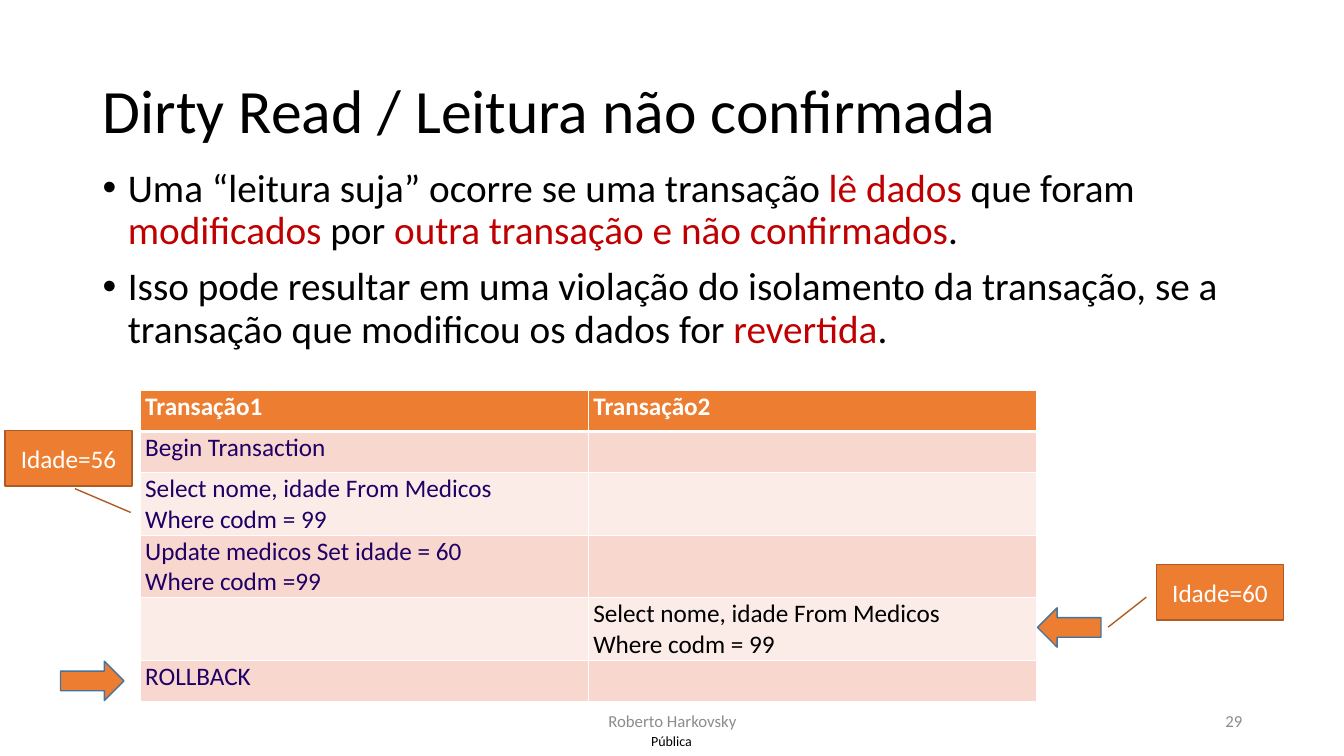
from lxml.etree import SubElement
from pptx import Presentation
from pptx.dml.color import RGBColor
from pptx.enum.shapes import MSO_SHAPE
from pptx.enum.text import MSO_ANCHOR, PP_ALIGN
from pptx.oxml import parse_xml
from pptx.oxml.ns import nsdecls, qn
from pptx.util import Inches, Pt

FONT = "Calibri"
BLACK, WHITE, GREY, RED, INDIGO = "000000", "FFFFFF", "8C8C8C", "C00000", "1F0066"
ORANGE, CALLOUT_EDGE, ARROW_EDGE = "ED7D31", "AF5C24", "43739E"
BANDS = ["F8D7CE", "FCECE8"]

DEFINITION = [
    [("Uma “leitura suja” ocorre se uma transação ", BLACK), ("lê dados ", RED),
     ("que foram ", BLACK), ("modificados", RED), (" por ", BLACK),
     ("outra transação e não confirmados", RED), (".", BLACK)],
    [("Isso pode resultar em uma violação do isolamento da transação, se a "
      "transação que modificou os dados for ", BLACK), ("revertida", RED), (".", BLACK)],
]
SELECT = ["Select nome, idade From Medicos", "Where codm = 99"]
STEPS = [
    (["Transação1"], ["Transação2"]),
    (["Begin Transaction"], []),
    (SELECT, []),
    (["Update medicos Set idade = 60", "Where codm =99"], []),
    ([], SELECT),
    (["ROLLBACK"], []),
]


def rgb(value):
    return RGBColor.from_string(value)


def add_run(paragraph, text, size, color, bold=False):
    run = paragraph.add_run()
    run.text = text
    run.font.name = FONT
    run.font.size = Pt(size)
    run.font.bold = bold
    run.font.color.rgb = rgb(color)


def add_title(slide, left, top, width, height, text):
    title = slide.shapes.title
    title.left, title.top = Inches(left), Inches(top)
    title.width, title.height = Inches(width), Inches(height)
    title.text_frame.vertical_anchor = MSO_ANCHOR.MIDDLE
    paragraph = title.text_frame.paragraphs[0]
    paragraph.alignment = PP_ALIGN.LEFT
    paragraph.line_spacing = 0.9
    add_run(paragraph, text, 44, BLACK)


def add_definition(slide, left, top, width, height):
    box = slide.shapes.add_textbox(Inches(left), Inches(top), Inches(width), Inches(height))
    frame = box.text_frame
    frame.word_wrap = True
    for index, parts in enumerate(DEFINITION):
        paragraph = frame.add_paragraph() if index else frame.paragraphs[0]
        properties = paragraph._p.get_or_add_pPr()
        properties.set("marL", str(Inches(0.25)))
        properties.set("indent", str(-Inches(0.25)))
        SubElement(properties, qn("a:buFont")).set("typeface", "Arial")
        SubElement(properties, qn("a:buChar")).set("char", "•")
        paragraph.line_spacing = 0.9
        if index:
            paragraph.space_before = Pt(10)
        for text, color in parts:
            add_run(paragraph, text, 28, color)


def add_footer_text(slide, left, top, width, height, text, align, size=12, color=GREY, inset=0.1):
    box = slide.shapes.add_textbox(Inches(left), Inches(top), Inches(width), Inches(height))
    frame = box.text_frame
    frame.word_wrap = True
    frame.vertical_anchor = MSO_ANCHOR.MIDDLE
    frame.margin_left = frame.margin_right = Inches(inset)
    frame.margin_top = frame.margin_bottom = Inches(inset / 2)
    frame.paragraphs[0].alignment = align
    add_run(frame.paragraphs[0], text, size, color)


def set_borders(cell, top, bottom):
    """White borders; the widths of the top and bottom ones are in points."""
    properties = cell._tc.get_or_add_tcPr()
    widths = {"lnL": 1, "lnR": 1, "lnT": top, "lnB": bottom}
    for index, (side, width) in enumerate(widths.items()):
        properties.insert(index, parse_xml(
            f'<a:{side} {nsdecls("a")} w="{Pt(width)}"><a:solidFill>'
            f'<a:srgbClr val="{WHITE}"/></a:solidFill></a:{side}>'))


def fill_cell(cell, lines, row, column):
    header = row == 0
    cell.fill.solid()
    cell.fill.fore_color.rgb = rgb(ORANGE if header else BANDS[(row - 1) % 2])
    set_borders(cell, 3 if row == 1 else 1, 3 if header else 1)
    cell.margin_left = cell.margin_right = Inches(0.05)
    cell.margin_top = cell.margin_bottom = Inches(0.01)
    color = WHITE if header else (INDIGO, BLACK)[column]
    frame = cell.text_frame
    frame.paragraphs[0].font.size = Pt(18)
    for index, line in enumerate(lines):
        paragraph = frame.add_paragraph() if index else frame.paragraphs[0]
        add_run(paragraph, line, 18, color, header)


def add_schedule(slide, left, top, width, row_height):
    rows, columns = len(STEPS), len(STEPS[0])
    table = slide.shapes.add_table(rows, columns, Inches(left), Inches(top),
                                   Inches(width), Inches(row_height * rows)).table
    for row, step in enumerate(STEPS):
        table.rows[row].height = Inches(row_height)
        for column, lines in enumerate(step):
            fill_cell(table.cell(row, column), lines, row, column)


def add_orange_shape(slide, kind, left, top, width, height, edge):
    shape = slide.shapes.add_shape(kind, Inches(left), Inches(top), Inches(width), Inches(height))
    shape.shadow.inherit = False
    shape.fill.solid()
    shape.fill.fore_color.rgb = rgb(ORANGE)
    shape.line.color.rgb = rgb(edge)
    shape.line.width = Pt(1)
    return shape


def add_step_arrow(slide, left, top, rotation=0):
    arrow = add_orange_shape(slide, MSO_SHAPE.LEFT_ARROW, left, top, 0.63, 0.39, ARROW_EDGE)
    arrow.rotation = rotation


def add_age_callout(slide, left, top, text, leader):
    """leader holds start y, start x, end y, end x as fractions of the box."""
    callout = add_orange_shape(slide, MSO_SHAPE.LINE_CALLOUT_1, left, top, 1.26, 0.55, CALLOUT_EDGE)
    for index, fraction in enumerate(leader):
        callout.adjustments[index] = fraction
    frame = callout.text_frame
    frame.word_wrap = True
    frame.vertical_anchor = MSO_ANCHOR.MIDDLE
    frame.paragraphs[0].alignment = PP_ALIGN.CENTER
    add_run(frame.paragraphs[0], text, 18, WHITE)


def main():
    deck = Presentation()
    deck.slide_width, deck.slide_height = Inches(13.33), Inches(7.5)
    slide = deck.slides.add_slide(deck.slide_layouts[5])
    add_footer_text(slide, 6.31, 7.21, 0.7, 0.29, "Pública", PP_ALIGN.CENTER, 10, BLACK, 0)
    add_title(slide, 0.92, 0.4, 11.5, 1.45, "Dirty Read / Leitura não confirmada")
    add_definition(slide, 0.92, 1.62, 11.5, 1.99)
    add_footer_text(slide, 4.42, 6.95, 4.5, 0.4, "Roberto Harkovsky", PP_ALIGN.CENTER)
    add_footer_text(slide, 9.42, 6.95, 3, 0.4, "29", PP_ALIGN.RIGHT)
    add_schedule(slide, 1.39, 3.87, 8.89, 0.41)
    add_step_arrow(slide, 0.6, 6.56, rotation=180)
    add_step_arrow(slide, 10.29, 6.03)
    add_age_callout(slide, 11.47, 5.6, "Idade=60", (0.59, -0.08, 1.13, -0.38))
    add_age_callout(slide, 0.05, 4.27, "Idade=56", (1.05, 0.55, 1.48, 0.99))
    deck.save("out.pptx")


if __name__ == "__main__":
    main()
